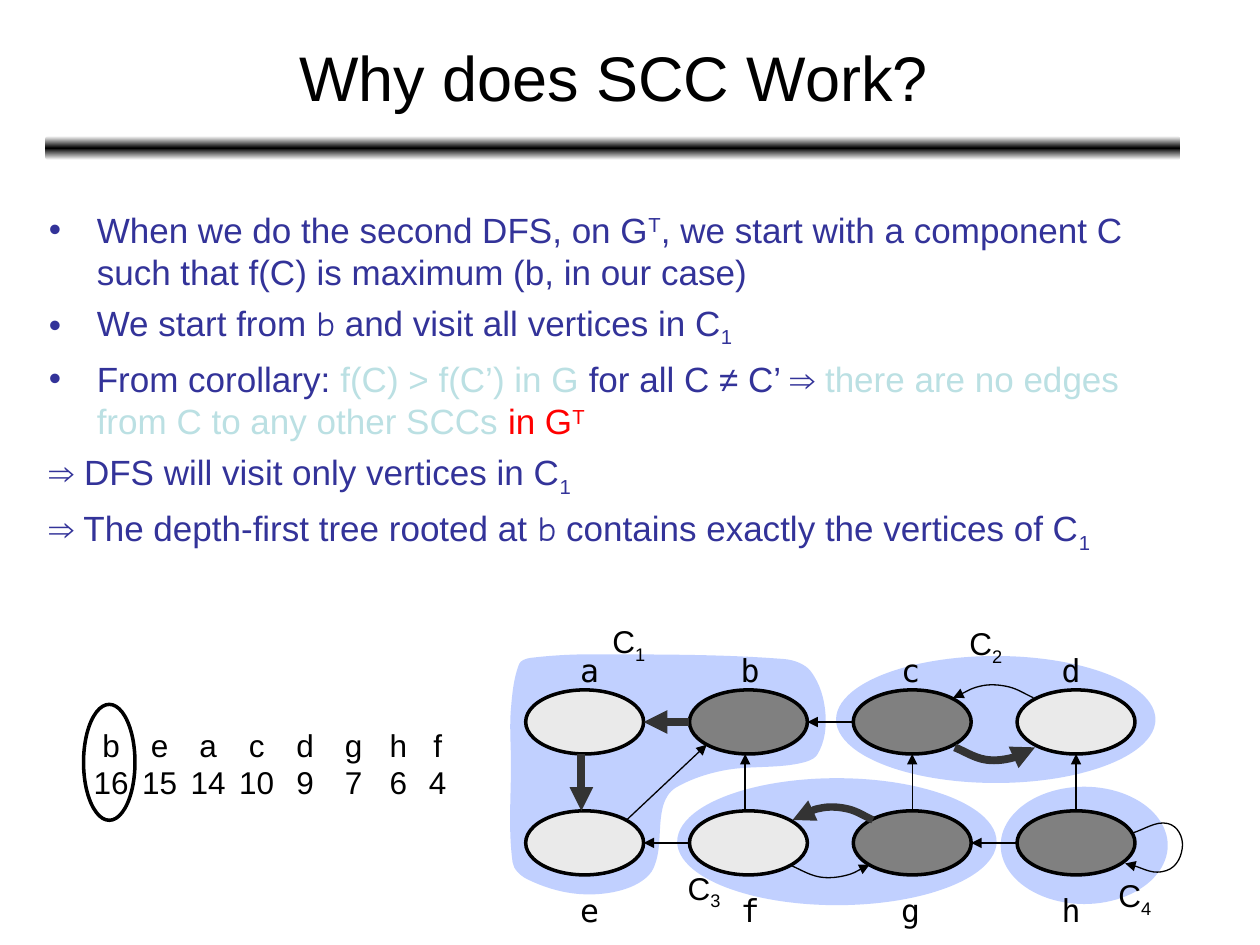
from copy import deepcopy
from dataclasses import dataclass
from math import hypot

from pptx import Presentation
from pptx.dml.color import RGBColor
from pptx.enum.shapes import MSO_CONNECTOR, MSO_SHAPE
from pptx.enum.text import MSO_ANCHOR, MSO_AUTO_SIZE, PP_ALIGN
from pptx.oxml import parse_xml
from pptx.oxml.ns import nsdecls, qn
from pptx.util import Inches, Pt

BLACK = RGBColor(0x00, 0x00, 0x00)
WHITE = RGBColor(0xFF, 0xFF, 0xFF)
INDIGO = RGBColor(0x33, 0x33, 0x99)
PALE_TEAL = RGBColor(0xBB, 0xE0, 0xE3)
RED = RGBColor(0xFF, 0x00, 0x00)
BLUE = RGBColor(0x33, 0x66, 0xFF)
LIGHT_GRAY = RGBColor(0xEA, 0xEA, 0xEA)
GRAY = RGBColor(0x80, 0x80, 0x80)
CHARCOAL = RGBColor(0x33, 0x33, 0x33)
SANS, HAND, MONO = "Arial", "Comic Neue", "DejaVu Sans Mono"

SLIDE_W, SLIDE_H = Inches(10), Inches(7.5)
SLIDE_COLUMNS, SLIDE_ROWS = 100, 75

SUB, SUP = {"baseline": -25}, {"baseline": 30}
BULLETS = [
    [("When we do the second DFS, on G", {}), ("T", SUP),
     (", we start with a component C such that f(C) is maximum (b, in our case)", {})],
    [("We start from ", {}), ("b", {"font": HAND}),
     (" and visit all vertices in C", {}), ("1", SUB)],
    [("From corollary: ", {}), ("f(C) > f(C’) in G ", {"color": PALE_TEAL}),
     ("for all C ≠ C’ ⇒ ", {}),
     ("there are no edges from C to any other SCCs ", {"color": PALE_TEAL}),
     ("in G", {"color": RED}), ("T", {"color": RED, **SUP})],
]
CONCLUSIONS = [
    [("⇒ DFS will visit only vertices in C", {}), ("1", SUB)],
    [("⇒ The depth-first tree rooted at ", {}), ("b", {"font": HAND}),
     (" contains exactly the vertices of C", {}), ("1", SUB)],
]

# Vertex, finish time, column; the last two stand closer together
FINISH_TIMES = [("b", 16, 0.5), ("e", 15, 1.5), ("a", 14, 2.5), ("c", 10, 3.5),
                ("d", 9, 4.5), ("g", 7, 5.5), ("h", 6, 6.42), ("f", 4, 7.23)]

# Graph positions are grid columns and rows, counted from the centre of node a
NODES = {name: (i % 4, i // 4) for i, name in enumerate("abcdefgh")}
DARK_NODES = "bcgh"
NODE_W, NODE_H = 0.72, 0.53
EDGES = ["ba", "cb", "fe", "hg", "ae", "fb", "gc", "hd", "eb"]
THICK_EDGES = ["ba", "ae"]
EDGE_SHIFT = {"ae": -0.02, "fb": -0.02}
C1_OUTLINE = [(-0.33, -0.53), (0.08, -0.56), (1.22, -0.52), (1.38, -0.42),
              (1.47, -0.07), (1.42, 0.27), (1.28, 0.35), (0.85, 0.4), (0.56, 0.54),
              (0.48, 0.69), (0.42, 1.21), (0.25, 1.38), (-0.05, 1.42), (-0.35, 1.3),
              (-0.44, 1.16), (-0.45, 0.31), (-0.45, -0.11), (-0.4, -0.48)]
COMPONENT_OVALS = [(3.05, 1.02, 1.02, 0.97), (2.51, -0.02, 1.95, 1.05),
                   (1.54, 0.99, 1.95, 1.05)]
COMPONENT_LABELS = [(0.27, -0.65), (2.45, -0.63), (0.73, 1.39), (3.36, 1.45)]
ARC = [(0, 0), (0.18, 0.1), (0.34, 0.09), (0.49, 0)]
# Left end of the arc, bend, arrowhead end, color, width
ARCS = [((1.27, 0.81), -1, "headEnd", CHARCOAL, 4.25),
        ((2.25, -0.2), -1, "headEnd", BLACK, 0.75),
        ((2.26, 0.21), 1, "tailEnd", CHARCOAL, 4.5),
        ((1.25, 1.18), 1, "tailEnd", BLACK, 0.75)]
SELF_LOOP = [(3.3, 1.17), (3.55, 1.23), (3.65, 1.02), (3.56, 0.84), (3.34, 0.92)]


@dataclass
class Box:
    """A region in slide columns and rows, split into its own grid."""
    left: float
    top: float
    width: float
    height: float
    columns: int = 1
    rows: int = 1

    def size(self, columns, rows):
        return (int(columns * self.width / self.columns * SLIDE_W / SLIDE_COLUMNS),
                int(rows * self.height / self.rows * SLIDE_H / SLIDE_ROWS))

    def point(self, column, row):
        dx, dy = self.size(column, row)
        return (int(self.left * SLIDE_W / SLIDE_COLUMNS) + dx,
                int(self.top * SLIDE_H / SLIDE_ROWS) + dy)

    def around(self, column, row, width, height):
        return (*self.point(column - width / 2, row - height / 2),
                *self.size(width, height))

    def whole(self):
        return (*self.point(0, 0), *self.size(self.columns, self.rows))


def add_runs(paragraph, runs, size, color=BLACK, font=SANS):
    for text, style in runs:
        run = paragraph.add_run()
        run.text = text
        run.font.size = Pt(size)
        run.font.name = style.get("font", font)
        run.font.color.rgb = style.get("color", color)
        if "baseline" in style:
            run.font._element.set("baseline", str(style["baseline"] * 1000))


def add_label(slide, frame, lines, size=18, font=SANS, fit=MSO_AUTO_SIZE.SHAPE_TO_FIT_TEXT):
    text_frame = slide.shapes.add_textbox(*frame).text_frame
    text_frame.word_wrap = False
    text_frame.auto_size = fit
    text_frame.margin_left = text_frame.margin_right = 0
    text_frame.vertical_anchor = MSO_ANCHOR.MIDDLE
    for i, runs in enumerate(lines):
        paragraph = text_frame.add_paragraph() if i else text_frame.paragraphs[0]
        paragraph.alignment = PP_ALIGN.CENTER
        add_runs(paragraph, runs, size, font=font)


def paint(shape, fill=None, opacity=100, line=None, width=0.75):
    shape.shadow.inherit = False
    if fill is None:
        shape.fill.background()
    else:
        shape.fill.solid()
        shape.fill.fore_color.rgb = fill
        if opacity < 100:
            color = shape._element.spPr.find(".//" + qn("a:srgbClr"))
            color.append(color.makeelement(qn("a:alpha"), {"val": str(opacity * 1000)}))
    if line is None:
        shape.line.fill.background()
    else:
        shape.line.color.rgb = line
        shape.line.width = Pt(width)


def add_oval(slide, frame, **style):
    paint(slide.shapes.add_shape(MSO_SHAPE.OVAL, *frame), **style)


def add_arrowhead(shape, end):
    ln = shape.line._get_or_add_ln()
    ln.append(ln.makeelement(qn("a:" + end), {"type": "triangle"}))


def bezier_points(points, closed):
    """Two control points and an end point for each stretch of a smooth curve."""
    n = len(points)

    def direction(i):
        before, after = (i - 1, (i + 1) % n) if closed else (max(i - 1, 0), min(i + 1, n - 1))
        dx, dy = (points[after][k] - points[before][k] for k in (0, 1))
        return dx / hypot(dx, dy), dy / hypot(dx, dy)

    for i in range(n if closed else n - 1):
        j = (i + 1) % n
        (x1, y1), (x2, y2) = points[i], points[j]
        (u1, v1), (u2, v2) = direction(i), direction(j)
        reach = hypot(x2 - x1, y2 - y1) / 3
        yield x1 + reach * u1, y1 + reach * v1
        yield x2 - reach * u2, y2 - reach * v2
        yield x2, y2


def add_curve(slide, box, points, closed=False):
    start, *rest = [box.point(x + 0.5, y + 0.5)
                    for x, y in (points[0], *bezier_points(points, closed))]
    builder = slide.shapes.build_freeform(*start)
    builder.add_line_segments(rest, close=closed)
    curve = builder.convert_to_shape()
    # Each three line segments become one Bézier segment
    segments = list(curve._element.spPr.iter(qn("a:lnTo")))
    for first, second, third in zip(segments[::3], segments[1::3], segments[2::3]):
        bezier = first.makeelement(qn("a:cubicBezTo"))
        first.addprevious(bezier)
        for segment in (first, second, third):
            bezier.append(segment[0])
            segment.getparent().remove(segment)
    return curve


def add_title(slide, box):
    add_label(slide, box.whole(), [[("Why does SCC Work?", {})]], size=36,
              fit=MSO_AUTO_SIZE.NONE)


def add_rule(slide, box):
    bar = slide.shapes.add_shape(MSO_SHAPE.ROUNDED_RECTANGLE, *box.whole())
    paint(bar)
    bar.fill.gradient()
    bar.fill.gradient_angle = 90
    stop_list = bar._element.spPr.find(".//" + qn("a:gsLst"))
    stop_list.append(deepcopy(stop_list[-1]))
    for stop, position, color in zip(bar.fill.gradient_stops, (0, 0.5, 1), (WHITE, BLACK, WHITE)):
        stop.position = position
        stop.color.rgb = color


def add_argument(slide, box):
    text_frame = slide.shapes.add_textbox(*box.whole()).text_frame
    text_frame.word_wrap = True
    for i, runs in enumerate(BULLETS + CONCLUSIONS):
        paragraph = text_frame.add_paragraph() if i else text_frame.paragraphs[0]
        properties = paragraph._p.get_or_add_pPr()
        properties.set("marL", str(Inches(0.38)))
        properties.set("indent", str(-Inches(0.38)))
        if i < len(BULLETS):
            for bullet in (f'<a:buClr {nsdecls("a")}><a:srgbClr val="{INDIGO}"/></a:buClr>',
                           f'<a:buFont {nsdecls("a")} typeface="{SANS}"/>',
                           f'<a:buChar {nsdecls("a")} char="•"/>'):
                properties.append(parse_xml(bullet))
        if i:
            paragraph.space_before = Pt(5)
        add_runs(paragraph, runs, 20, INDIGO)


def add_finish_times(slide, box):
    for vertex, time, column in FINISH_TIMES:
        add_label(slide, box.around(column, 0.51, 1.25, 0.76),
                  [[(vertex, {})], [(str(time), {})]])
    # Ring around the latest finish
    add_oval(slide, box.around(0.46, 0.5, 1.06, 1), line=BLACK, width=2)


def add_graph(slide, box):
    def cell(x, y, width, height):
        return box.around(x + 0.5, y + 0.5, width, height)

    # Components
    paint(add_curve(slide, box, C1_OUTLINE, closed=True), BLUE, 30)
    for oval in COMPONENT_OVALS:
        add_oval(slide, cell(*oval), fill=BLUE, opacity=30)
    for number, (x, y) in enumerate(COMPONENT_LABELS, 1):
        add_label(slide, cell(x, y, 0.35, 0.46), [[("C", {}), (str(number), SUB)]])

    # Nodes, labelled above the first row and below the second
    for name, (x, y) in NODES.items():
        add_oval(slide, cell(x, y, NODE_W, NODE_H), line=BLACK, width=2,
                 fill=GRAY if name in DARK_NODES else LIGHT_GRAY)
        add_label(slide, cell(0.98 * x + 0.03, 1.55 if y else -0.43, 0.27, 0.42),
                  [[(name, {})]], font=MONO)

    # Straight edges, trimmed to the node outlines
    for edge in EDGES:
        (x1, y1), (x2, y2) = (NODES[name] for name in edge)
        length = hypot(x2 - x1, y2 - y1)
        dx, dy = (x2 - x1) / length * NODE_W / 2, (y2 - y1) / length * NODE_H / 2
        middle = 0.5 + EDGE_SHIFT.get(edge, 0)
        arrow = slide.shapes.add_connector(
            MSO_CONNECTOR.STRAIGHT, *box.point(x1 + dx + middle, y1 + dy + 0.5),
            *box.point(x2 - dx + middle, y2 - dy + 0.5))
        thick = edge in THICK_EDGES
        arrow.line.color.rgb = CHARCOAL if thick else BLACK
        arrow.line.width = Pt(4.5 if thick else 0.75)
        add_arrowhead(arrow, "tailEnd")
        properties = arrow._element.spPr
        properties.append(properties.makeelement(qn("a:effectLst")))

    # Curved edges and the loop at h
    curves = [([(x + dx, y + bend * dy) for dx, dy in ARC], end, color, width)
              for (x, y), bend, end, color, width in ARCS]
    curves.append((SELF_LOOP, "headEnd", BLACK, 0.75))
    for points, end, color, width in curves:
        curve = add_curve(slide, box, points)
        paint(curve, line=color, width=width)
        add_arrowhead(curve, end)


def main():
    presentation = Presentation()
    presentation.slide_width, presentation.slide_height = SLIDE_W, SLIDE_H
    slide = presentation.slides.add_slide(presentation.slide_layouts[6])
    add_rule(slide, Box(3.6, 10.8, 90.1, 1.9))
    add_title(slide, Box(3.7, 1.1, 90, 9.9))
    add_argument(slide, Box(2.9, 16.05, 90, 39))
    add_graph(slide, Box(39.9, 52.5, 52, 19.2, columns=4, rows=2))
    add_finish_times(slide, Box(6.9, 55.9, 30.8, 9.2, columns=8))
    presentation.save("out.pptx")


if __name__ == "__main__":
    main()
